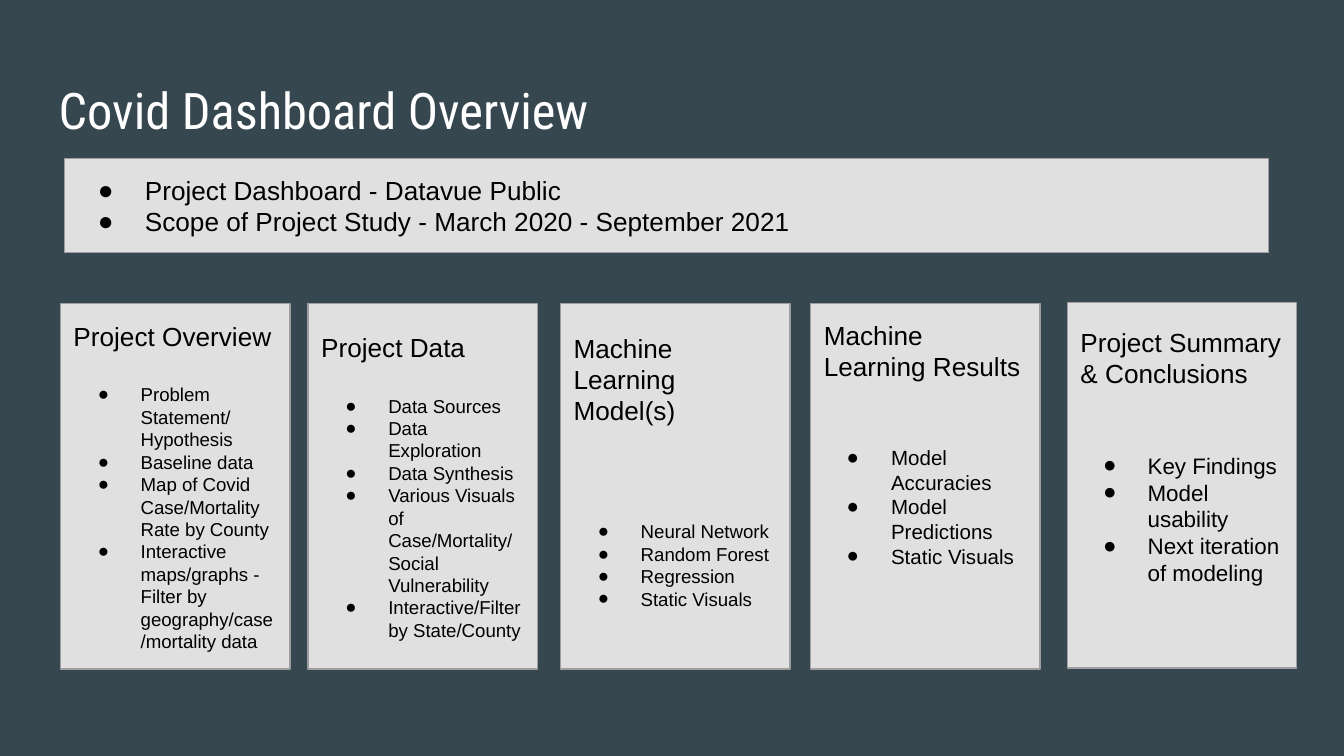
"""Build the Covid dashboard overview slide."""
from dataclasses import dataclass

from lxml import etree
from pptx import Presentation
from pptx.dml.color import RGBColor
from pptx.enum.shapes import MSO_SHAPE
from pptx.enum.text import MSO_ANCHOR, PP_ALIGN
from pptx.oxml.ns import qn
from pptx.util import Cm, Pt

RECTANGLE = MSO_SHAPE.RECTANGLE
MIDDLE, TOP = MSO_ANCHOR.MIDDLE, MSO_ANCHOR.TOP
LEFT = PP_ALIGN.LEFT


@dataclass(frozen=True)
class Theme:
    background: str = "37474F"
    panel: str = "E0E0E0"
    border: str = "9E9E9E"
    ink: str = "000000"
    title_ink: str = "FFFFFF"
    title_font: str = "Roboto Condensed"
    body_font: str = "Arial"
    title_size: int = 27
    heading_size: int = 14
    border_width: float = 0.75


THEME = Theme()
TITLE = "Covid Dashboard Overview"
SCOPE = [
    "Project Dashboard - Datavue Public",
    "Scope of Project Study - March 2020 - September 2021",
]
CARDS = [
    {"left": 1.14, "top": 5.74, "heading": "Project Overview",
     "size": 10, "gap": 16.8, "foot": 0,
     "items": ["Problem Statement/ Hypothesis", "Baseline data",
               "Map of Covid Case/Mortality Rate by County",
               "Interactive maps/graphs - Filter by geography/case/mortality data"]},
    {"left": 5.82, "top": 5.74, "heading": "Project Data",
     "size": 10, "gap": 16.8, "foot": 0,
     "items": ["Data Sources", "Data Exploration", "Data Synthesis",
               "Various Visuals of Case/Mortality/Social Vulnerability",
               "Interactive/Filter by State/County"]},
    {"left": 10.59, "top": 5.74, "heading": "Machine Learning Model(s)",
     "size": 10, "gap": 50.4, "foot": 0.59,
     "items": ["Neural Network", "Random Forest", "Regression", "Static Visuals"]},
    {"left": 15.32, "top": 5.74, "heading": "Machine Learning Results",
     "size": 11, "gap": 33.6, "foot": 1.61,
     "items": ["Model Accuracies", "Model Predictions", "Static Visuals"]},
    {"left": 20.17, "top": 5.72, "heading": "Project Summary & Conclusions",
     "size": 12, "gap": 33.6, "foot": 1.1,
     "items": ["Key Findings", "Model usability", "Next iteration of modeling"]},
]
CARD_WIDTH, CARD_HEIGHT = 4.34, 6.91
INSET = 0.25
TEXT_INDENT = 1.27
HANGING = {10: 0.81, 11: 0.84, 12: 0.84, 14: 0.89}


def set_frame(sp, anchor, foot=0):
    tf = sp.text_frame
    tf.word_wrap = True
    tf.vertical_anchor = anchor
    tf.margin_left = tf.margin_right = tf.margin_top = Cm(INSET)
    tf.margin_bottom = Cm(INSET + foot)
    return tf


def add_panel(s, left, top, width, height, foot=0):
    sp = s.shapes.add_shape(RECTANGLE, Cm(left), Cm(top), Cm(width), Cm(height))
    sp.shadow.inherit = False
    sp.fill.solid()
    sp.fill.fore_color.rgb = RGBColor.from_string(THEME.panel)
    sp.line.color.rgb = RGBColor.from_string(THEME.border)
    sp.line.width = Pt(THEME.border_width)
    return set_frame(sp, MIDDLE, foot)


def add_bullet(p, size):
    p_pr = p._p.get_or_add_pPr()
    p_pr.set("marL", str(Cm(TEXT_INDENT)))
    p_pr.set("indent", str(-Cm(HANGING[size])))
    color = etree.SubElement(p_pr, qn("a:buClr"))
    etree.SubElement(color, qn("a:srgbClr"), val=THEME.ink)
    etree.SubElement(p_pr, qn("a:buFont"), typeface=THEME.body_font)
    etree.SubElement(p_pr, qn("a:buChar"), char="●")


def add_text(tf, text, size, font=THEME.body_font, color=THEME.ink,
             bullet=False, gap=0):
    p = tf.paragraphs[0] if not tf.text else tf.add_paragraph()
    p.alignment = LEFT
    if gap:
        p.space_before = Pt(gap)
    if bullet:
        add_bullet(p, size)
    r = p.add_run()
    r.text = text
    r.font.size = Pt(size)
    r.font.name = font
    r.font.color.rgb = RGBColor.from_string(color)


def add_list(tf, items, size, gap=0):
    for i, item in enumerate(items):
        add_text(tf, item, size, bullet=True, gap=0 if i else gap)


def main():
    prs = Presentation()
    prs.slide_width, prs.slide_height = Cm(25.4), Cm(14.29)
    s = prs.slides.add_slide(prs.slide_layouts[6])
    s.background.fill.solid()
    s.background.fill.fore_color.rgb = RGBColor.from_string(THEME.background)

    title = s.shapes.add_textbox(Cm(0.86), Cm(1.24), Cm(23.67), Cm(1.6))
    add_text(set_frame(title, TOP), TITLE, THEME.title_size,
             THEME.title_font, THEME.title_ink)

    for card in CARDS:
        tf = add_panel(s, card["left"], card["top"], CARD_WIDTH, CARD_HEIGHT,
                       card["foot"])
        add_text(tf, card["heading"], THEME.heading_size)
        add_list(tf, card["items"], card["size"], card["gap"])

    add_list(add_panel(s, 1.22, 3, 22.76, 1.78), SCOPE, THEME.heading_size)
    prs.save("out.pptx")


if __name__ == "__main__":
    main()
